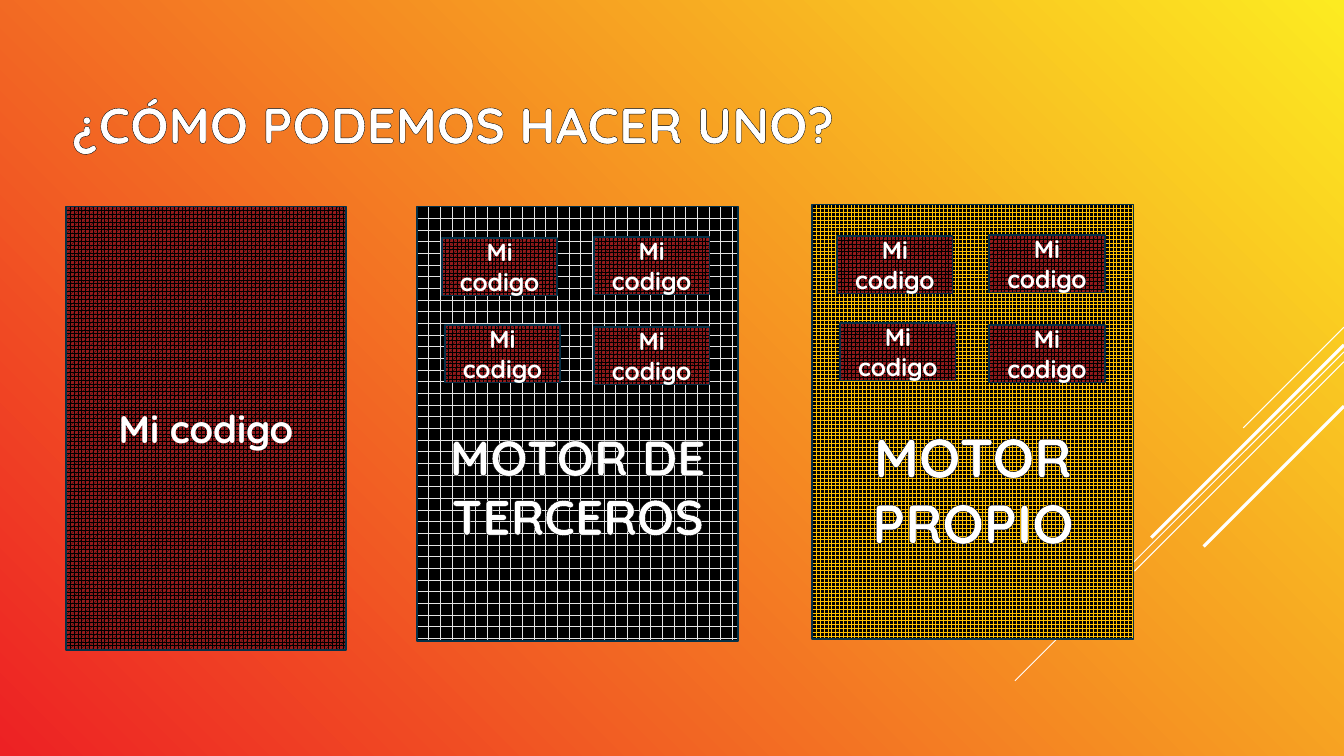
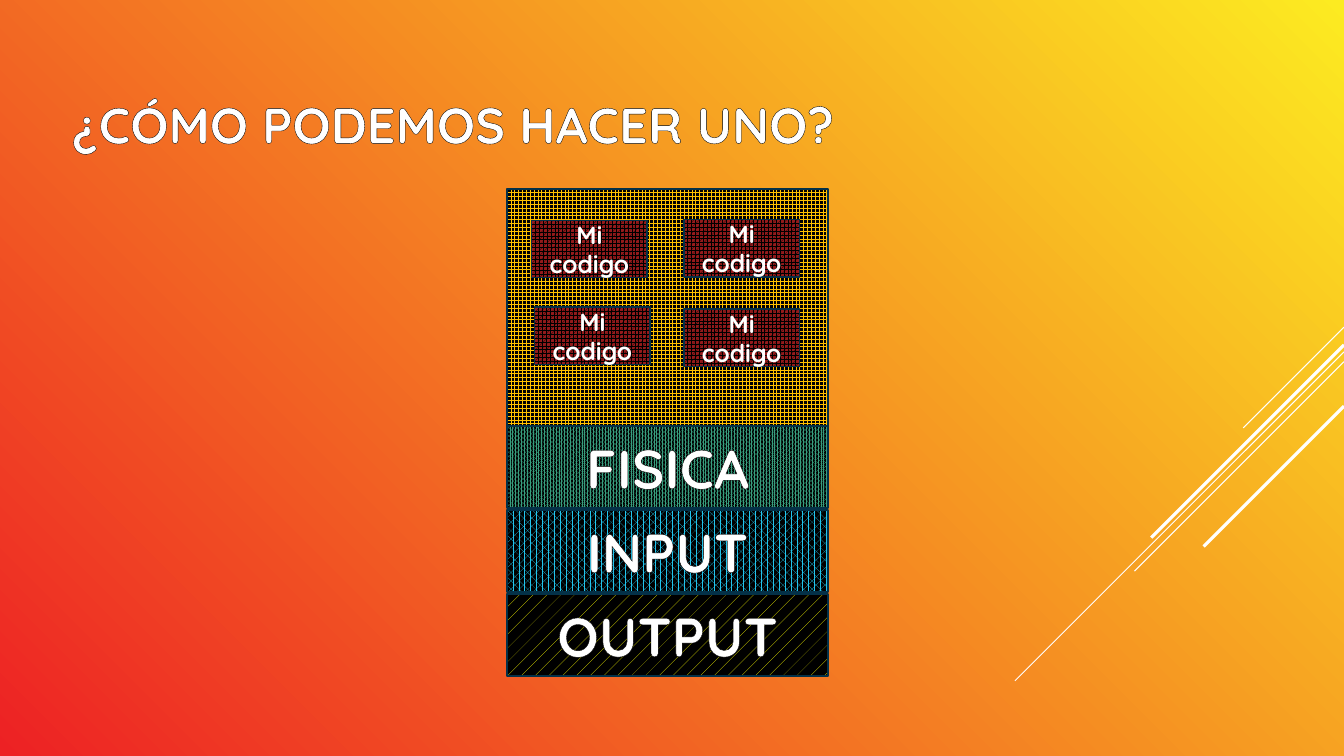
import pptx
import pptx.dml.color
import pptx.enum.dml
import pptx.enum.shapes
import pptx.enum.text
import pptx.oxml
import pptx.oxml.ns
import pptx.util
from lxml import etree

RGB = pptx.dml.color.RGBColor
PAT = pptx.enum.dml.MSO_PATTERN
ALIGN = pptx.enum.text.PP_ALIGN

RED = RGB(0xED, 0x21, 0x24)
YELLOW = RGB(0xFC, 0xEB, 0x21)
WHITE = RGB(0xFF, 0xFF, 0xFF)
BLACK = RGB(0x00, 0x00, 0x00)
NAVY = RGB(0x04, 0x31, 0x48)
MAROON = RGB(0x94, 0x1A, 0x1B)
GREY = RGB(0xE4, 0xE4, 0xE4)
AMBER = RGB(0xFF, 0xC0, 0x00)
GREEN = RGB(0x38, 0x9E, 0x7E)
CYAN = RGB(0x22, 0xC5, 0xED)
LEMON = RGB(0xFF, 0xFF, 0x00)

FONT = "Quicksand"
SCALE = 9144
WIDTH, HEIGHT = 1360, 765
INSET = 5
TITLE = "¿CÓMO PODEMOS HACER UNO?"
CODE = "Mi codigo"
RAYS = [(331, 102, 0.75), (356, 333, 0.75), (366, 212, 0.75),
        (349, 195, 2.25), (411, 142, 2.25)]
CODE_OFFSETS = [(25, 32), (28, 120), (179, 31), (179, 122)]
PANEL_W, PANEL_H = 325, 440
LAYER_H, LAYER_STEP = 83, 85


def px(n):
    return pptx.util.Emu(n * SCALE)


class Deck:
    """Hold the shared style and the current slide."""

    def __init__(self):
        self.prs = pptx.Presentation()
        self.prs.slide_width, self.prs.slide_height = px(WIDTH), px(HEIGHT)
        fill = self.prs.slide_master.background.fill
        fill.gradient()
        fill.gradient_angle = 45
        for stop, color in zip(fill.gradient_stops, (RED, YELLOW)):
            stop.color.rgb = color
        self.s = None

    def slide(self, title):
        self.s = self.prs.slides.add_slide(self.prs.slide_layouts[5])
        for y, reach, weight in RAYS:
            self.line(WIDTH, y, WIDTH - reach, y + reach, weight)
        sp = self.s.shapes.title
        sp.left, sp.top, sp.width, sp.height = map(px, (63, 41, 952, 168))
        sp.text_frame.auto_size = pptx.enum.text.MSO_AUTO_SIZE.NONE
        self.text(sp.text_frame, title, 36.7, ALIGN.LEFT, True)

    def line(self, x1, y1, x2, y2, weight):
        kind = pptx.enum.shapes.MSO_CONNECTOR.STRAIGHT
        sp = self.s.shapes.add_connector(kind, px(x1), px(y1), px(x2), px(y2))
        sp.line.color.rgb = WHITE
        sp.line.width = pptx.util.Pt(weight)
        etree.SubElement(sp._element.spPr, pptx.oxml.ns.qn("a:effectLst"))

    def text(self, tf, text, size, align=ALIGN.CENTER, outlined=False):
        tf.text = text
        tf.word_wrap = True
        tf.vertical_anchor = pptx.enum.text.MSO_ANCHOR.MIDDLE
        for p in tf.paragraphs:
            p.alignment = align
            p.font.name = FONT
            p.font.size = pptx.util.Pt(size)
            p.font.bold = True
            p.font.color.rgb = WHITE
            if outlined:
                for r in p.runs:
                    self.outline(r)

    def outline(self, r):
        ln = pptx.oxml.parse_xml(
            f'<a:ln {pptx.oxml.ns.nsdecls("a")} w="9525"><a:solidFill>'
            f'<a:srgbClr val="{BLACK}"/></a:solidFill></a:ln>')
        r._r.get_or_add_rPr().insert(0, ln)

    def box(self, x, y, w, h, pattern, fore, back=BLACK):
        kind = pptx.enum.shapes.MSO_SHAPE.RECTANGLE
        sp = self.s.shapes.add_shape(kind, px(x), px(y), px(w), px(h))
        sp.shadow.inherit = False
        sp.fill.patterned()
        sp.fill.pattern = pattern
        sp.fill.fore_color.rgb = fore
        sp.fill.back_color.rgb = back
        sp.line.color.rgb = NAVY
        sp.line.width = pptx.util.Pt(1.25)
        return sp

    def code(self, x, y, w=117, h=58, size=18):
        sp = self.box(x, y, w, h, PAT.SPHERE, BLACK, MAROON)
        self.text(sp.text_frame, CODE, size)

    def engine(self, x, y, h, pattern, fore, label="", size=40, drop=0):
        sp = self.box(x, y, PANEL_W, h, pattern, fore)
        if label:
            self.text(sp.text_frame, label, size, outlined=True)
            sp.text_frame.margin_top = px(INSET + drop)
        for dx, dy in CODE_OFFSETS:
            self.code(x + dx, y + dy)

    def layer(self, x, y, label, pattern, fore):
        sp = self.box(x, y, PANEL_W, LAYER_H, pattern, fore)
        self.text(sp.text_frame, label, 40, outlined=True)


def main():
    deck = Deck()

    deck.slide(TITLE)
    deck.code(67, 209, 283, 449, 28)
    deck.engine(422, 209, PANEL_H, PAT.HORIZONTAL_BRICK, GREY,
                "MOTOR DE\nTERCEROS", 36, 125)
    deck.engine(822, 207, PANEL_H, PAT.LARGE_GRID, AMBER,
                "MOTOR PROPIO", 40, 135)

    deck.slide(TITLE)
    deck.engine(513, 191, 240, PAT.LARGE_GRID, AMBER)
    layers = [("FISICA", PAT.PERCENT_80, GREEN),
              ("INPUT", PAT.PERCENT_60, CYAN),
              ("OUTPUT", PAT.PERCENT_5, LEMON)]
    for i, (label, pattern, fore) in enumerate(layers):
        deck.layer(513, 431 + i * LAYER_STEP, label, pattern, fore)

    deck.prs.save("out.pptx")


if __name__ == "__main__":
    main()
